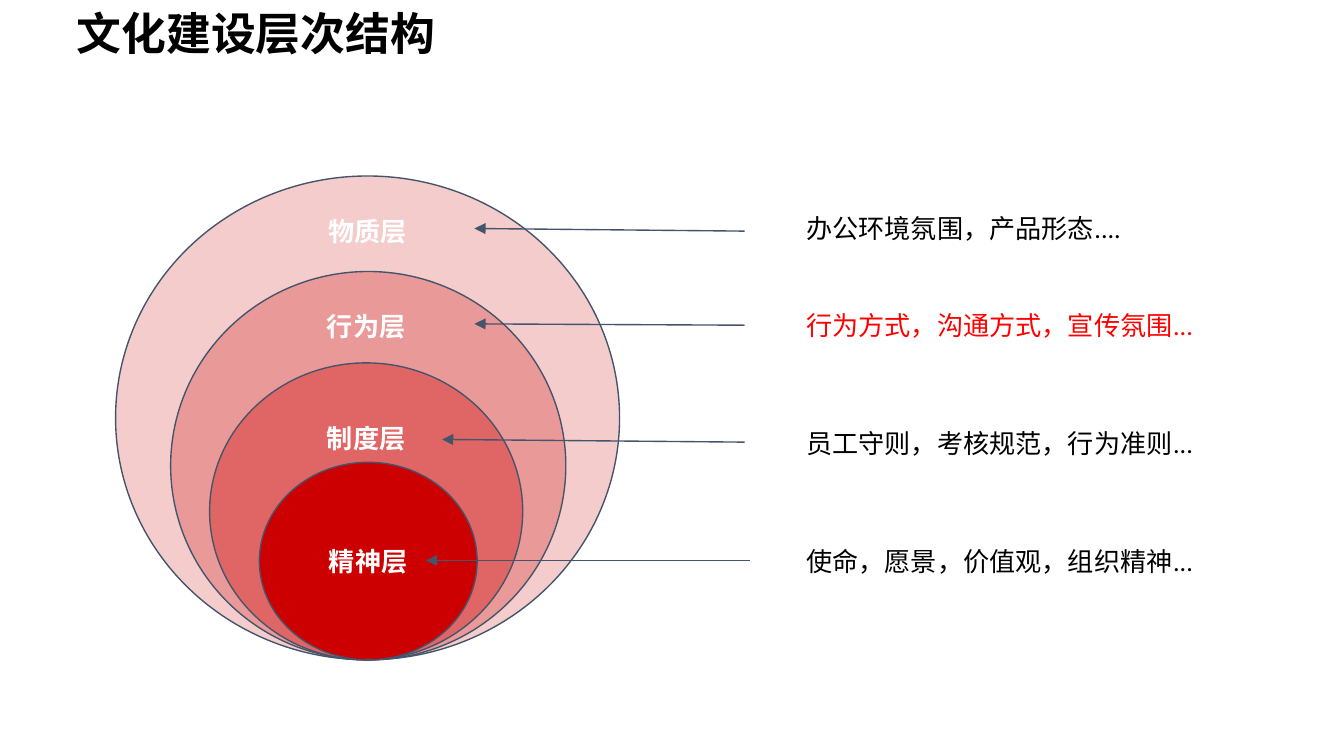
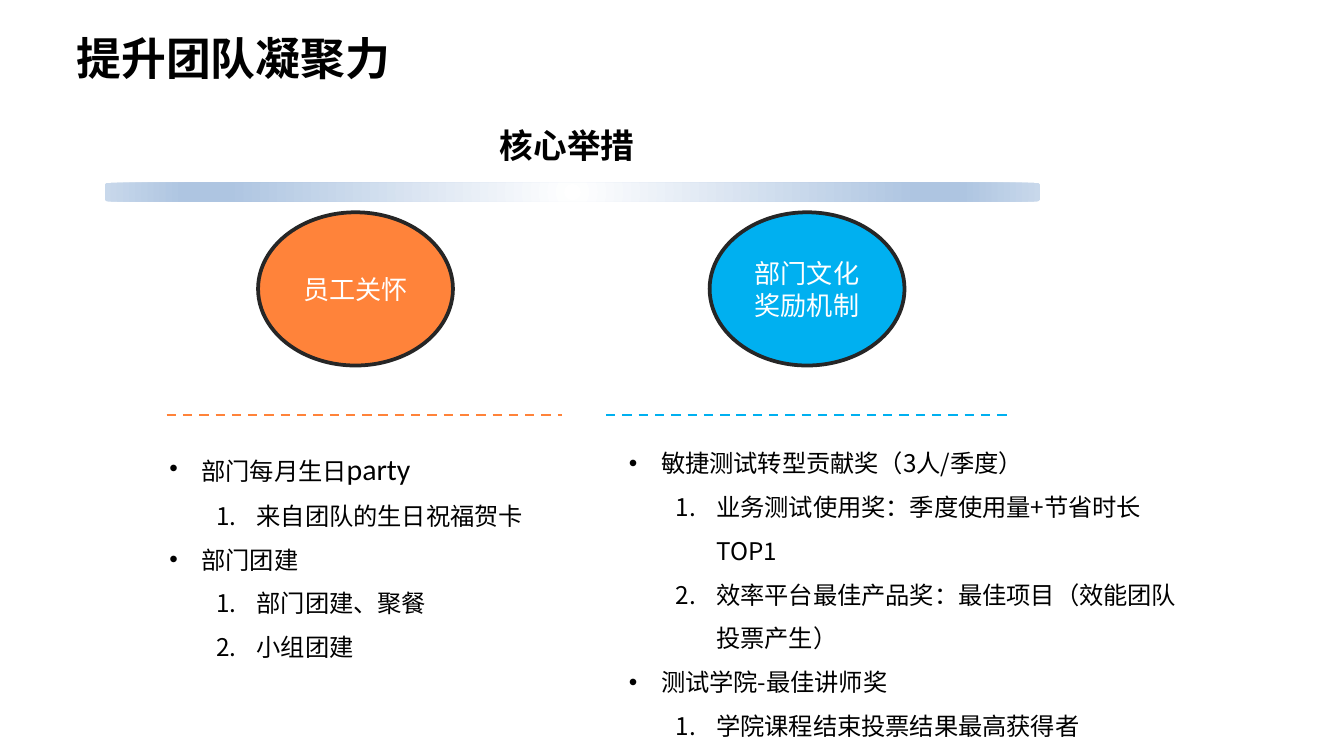
from lxml import etree
from pptx import Presentation
from pptx import util as u
from pptx.dml.color import RGBColor
from pptx.enum import dml, shapes, text
from pptx.oxml import parse_xml
from pptx.oxml.ns import nsdecls, qn

CJK = "Noto Sans CJK SC"
BLACK, WHITE, SLATE, DARK = "000000", "FFFFFF", "44546A", "262626"
WIDE, SLIM = (0.1, 0.1), (0.07, 0.04)
MID, LOW, TOP = text.MSO_ANCHOR.MIDDLE, text.MSO_ANCHOR.BOTTOM, text.MSO_ANCHOR.TOP

# layer, note, note colour, ring fill, ring left and size, label left and top,
# note top, arrow from, arrow to
LAYERS = [
    ("物质层", "办公环境氛围，产品形态....", BLACK, "F4CCCC", (0.86, 3.75, 3.6),
     (2.16, 1.5), 1.48, (5.54, 1.72), (3.53, 1.7)),
    ("行为层", "行为方式，沟通方式，宣传氛围...", "FF0000", "EA9999", (1.27, 2.94, 2.89),
     (2.15, 2.21), 2.2, (5.54, 2.42), (3.53, 2.41)),
    ("制度层", "员工守则，考核规范，行为准则...", BLACK, "E06666", (1.56, 2.33, 2.21),
     (2.15, 3.04), 3.08, (5.54, 3.29), (3.29, 3.27)),
    ("精神层", "使命，愿景，价值观，组织精神...", BLACK, "CC0000", (1.93, 1.62, 1.47),
     None, 3.96, (5.58, 4.17), (3.17, 4.17)),
]
BASE = 4.91

# head, colour, oval left, rule ends, list box, items as (level, runs)
PLANS = [
    ("员工关怀", "FF833A", 1.92, (1.24, 4.18), (1.19, 3.18, 2.94, 2.25), [
        (0, [("部门每月生日", 13, CJK), ("party", 16, "Calibri")]),
        (1, [("来自团队的生日祝福贺卡", 13, CJK)]),
        (0, [("部门团建", 13, CJK)]),
        (1, [("部门团建、聚餐", 13, CJK)]),
        (1, [("小组团建", 13, CJK)]),
    ]),
    ("部门文化奖励机制", "00B0F0", 5.28, (4.51, 7.49), (4.61, 3.19, 4.34, 2.25), [
        (0, [("敏捷测试转型贡献奖（3人/季度）", 13, CJK)]),
        (1, [("业务测试使用奖：季度使用量+节省时长TOP1", 13, CJK)]),
        (1, [("效率平台最佳产品奖：最佳项目（效能团队投票产生）", 13, CJK)]),
        (0, [("测试学院-最佳讲师奖", 13, CJK)]),
        (1, [("学院课程结束投票结果最高获得者", 13, CJK)]),
    ]),
]
STOPS = [(0, "FFFFFF"), (74, "AEC5E1"), (83, "AEC5E1"), (100, "C8D8EB")]


def tint(code):
    return RGBColor.from_string(code)


def inch(vals):
    return [u.Inches(v) for v in vals]


def add_run(para, words, size, font, color=BLACK, bold=False):
    run = para.add_run()
    run.text = words
    run.font.size, run.font.name, run.font.bold = u.Pt(size), font, bold
    run.font.color.rgb = tint(color)
    east = etree.SubElement(run.font._element, qn("a:ea"))
    east.set("typeface", CJK)


def set_frame(shape, pad, anchor):
    frame = shape.text_frame
    frame.word_wrap = True
    frame.vertical_anchor = anchor
    frame.margin_left = frame.margin_right = u.Inches(pad[0])
    frame.margin_top = frame.margin_bottom = u.Inches(pad[1])
    return frame


def add_text(slide, box, words, size, font, color=BLACK, bold=False,
             pad=WIDE, anchor=TOP, center=False):
    frame = set_frame(slide.shapes.add_textbox(*inch(box)), pad, anchor)
    para = frame.paragraphs[0]
    if center:
        para.alignment = text.PP_ALIGN.CENTER
    add_run(para, words, size, font, color, bold)
    return para


def add_title(slide, words, box, anchor):
    para = add_text(slide, box, words, 24, "Arial", bold=True, pad=SLIM, anchor=anchor)
    para.line_spacing = 0.9


def add_oval(slide, box, fill, edge, width):
    oval = slide.shapes.add_shape(shapes.MSO_SHAPE.OVAL, *inch(box))
    oval.shadow.inherit = False
    oval.fill.solid()
    oval.fill.fore_color.rgb = tint(fill)
    oval.line.color.rgb = tint(edge)
    oval.line.width = u.Pt(width)
    return oval


def fill_oval(oval, words, font, pad, bold=False):
    para = set_frame(oval, pad, MID).paragraphs[0]
    para.alignment = text.PP_ALIGN.CENTER
    add_run(para, words, 14, font, WHITE, bold)


def add_line(slide, start, end, color, width):
    line = slide.shapes.add_connector(
        shapes.MSO_CONNECTOR.STRAIGHT, *inch(start + end))
    line.line.color.rgb = tint(color)
    line.line.width = u.Pt(width)
    etree.SubElement(line._element.spPr, qn("a:effectLst"))
    return line


def add_arrow(slide, start, end):
    line = add_line(slide, start, end, SLATE, 0.75)
    tip = etree.SubElement(line.line._get_or_add_ln(), qn("a:tailEnd"))
    tip.set("type", "triangle")


def add_bar(slide, box):
    """Rounded bar whose colour spreads outward from its centre."""
    bar = slide.shapes.add_shape(shapes.MSO_SHAPE.ROUNDED_RECTANGLE, *inch(box))
    bar.shadow.inherit = False
    bar.adjustments[0] = 0.17
    bar.line.fill.background()
    stops = "".join(f'<a:gs pos="{pos * 1000}"><a:srgbClr val="{code}"/></a:gs>'
                    for pos, code in STOPS)
    grad = parse_xml(
        f'<a:gradFill {nsdecls("a")} rotWithShape="1"><a:gsLst>{stops}</a:gsLst>'
        '<a:path path="circle"><a:fillToRect l="50000" t="50000" r="50000" b="50000"/>'
        '</a:path></a:gradFill>')
    bar._element.spPr.find(qn("a:prstGeom")).addnext(grad)


def add_list(slide, box, items):
    frame = set_frame(slide.shapes.add_textbox(*inch(box)), SLIM, TOP)
    for i, (level, runs) in enumerate(items):
        para = frame.add_paragraph() if i else frame.paragraphs[0]
        para.level, para.line_spacing = level, 1.5
        props = para._p.get_or_add_pPr()
        left, hang = [(0.24, -0.26), (0.65, -0.3)][level]
        props.set("marL", str(u.Inches(left)))
        props.set("indent", str(u.Inches(hang)))
        mark = etree.SubElement(props, qn("a:buClr"))
        etree.SubElement(mark, qn("a:srgbClr")).set("val", BLACK)
        face = etree.SubElement(props, qn("a:buFont"))
        face.set("typeface", CJK if level else "Arial")
        if level:
            etree.SubElement(props, qn("a:buAutoNum")).set("type", "arabicPeriod")
        else:
            etree.SubElement(props, qn("a:buChar")).set("char", "•")
        for run in runs:
            add_run(para, *run)


def draw_layers(slide):
    add_title(slide, "文化建设层次结构", (0.5, 0.17, 8.62, 0.32), LOW)
    for name, _, _, fill, (left, w, h), spot, *_ in LAYERS:
        oval = add_oval(slide, (left, BASE - h, w, h), fill, SLATE, 0.75)
        if spot is None:
            fill_oval(oval, name, "Arial", WIDE, True)
    for name, note, color, _, _, spot, top, start, end in LAYERS:
        if spot:
            add_text(slide, spot + (1.15, 0.41), name, 14, "Calibri",
                     WHITE, True, center=True)
        add_arrow(slide, start, end)
        add_text(slide, (5.9, top, 3.08, 0.42), note, 14, "Calibri", color)


def draw_plans(slide):
    add_title(slide, "提升团队凝聚力", (0.5, 0.21, 3.07, 0.49), MID)
    add_text(slide, (3.65, 0.89, 1.21, 0.41), "核心举措", 18, CJK, bold=True, pad=SLIM)
    add_bar(slide, (0.78, 1.36, 6.96, 0.14))
    for head, color, left, (x1, x2), box, items in PLANS:
        oval = add_oval(slide, (left, 1.58, 1.45, 1.14), color, DARK, 2)
        fill_oval(oval, head, CJK, SLIM)
        rule = add_line(slide, (x1, 3.09), (x2, 3.09), color, 1.25)
        rule.line.dash_style = dml.MSO_LINE.DASH
        add_list(slide, box, items)


def main():
    deck = Presentation()
    deck.slide_width = u.Inches(10)
    deck.slide_height = deck.slide_width * 9 // 16
    for draw in (draw_layers, draw_plans):
        draw(deck.slides.add_slide(deck.slide_layouts[6]))
    deck.save("out.pptx")


if __name__ == "__main__":
    main()
